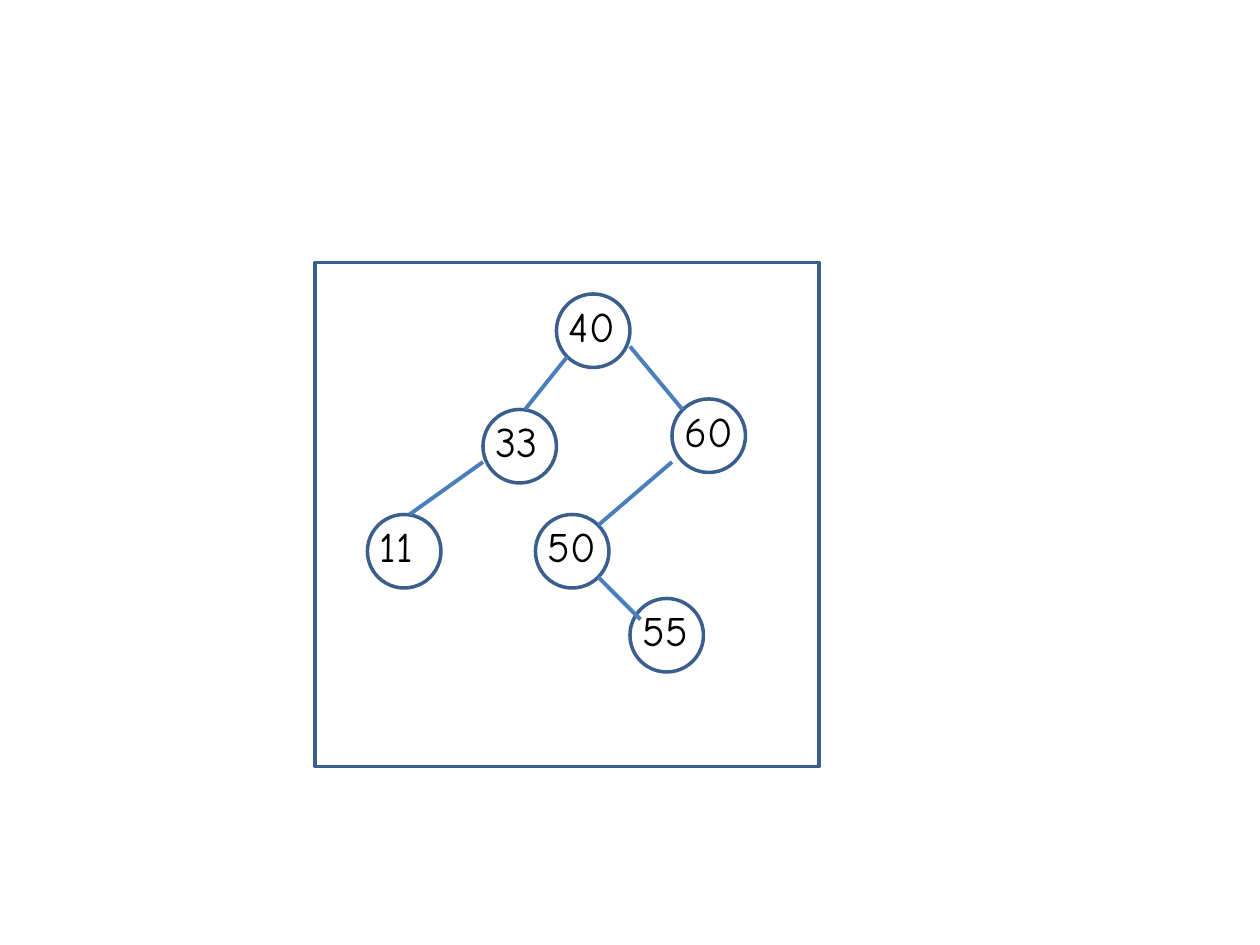
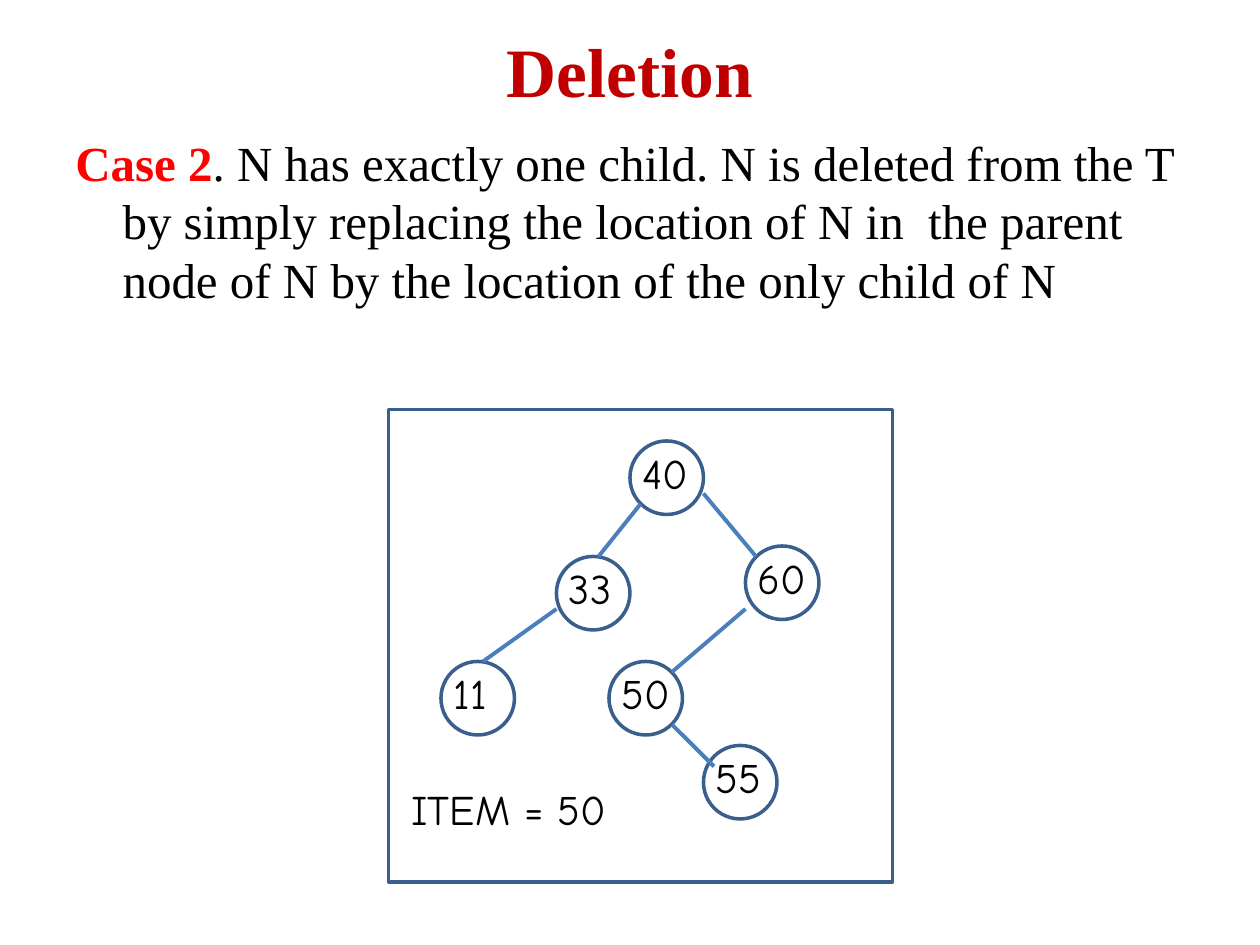
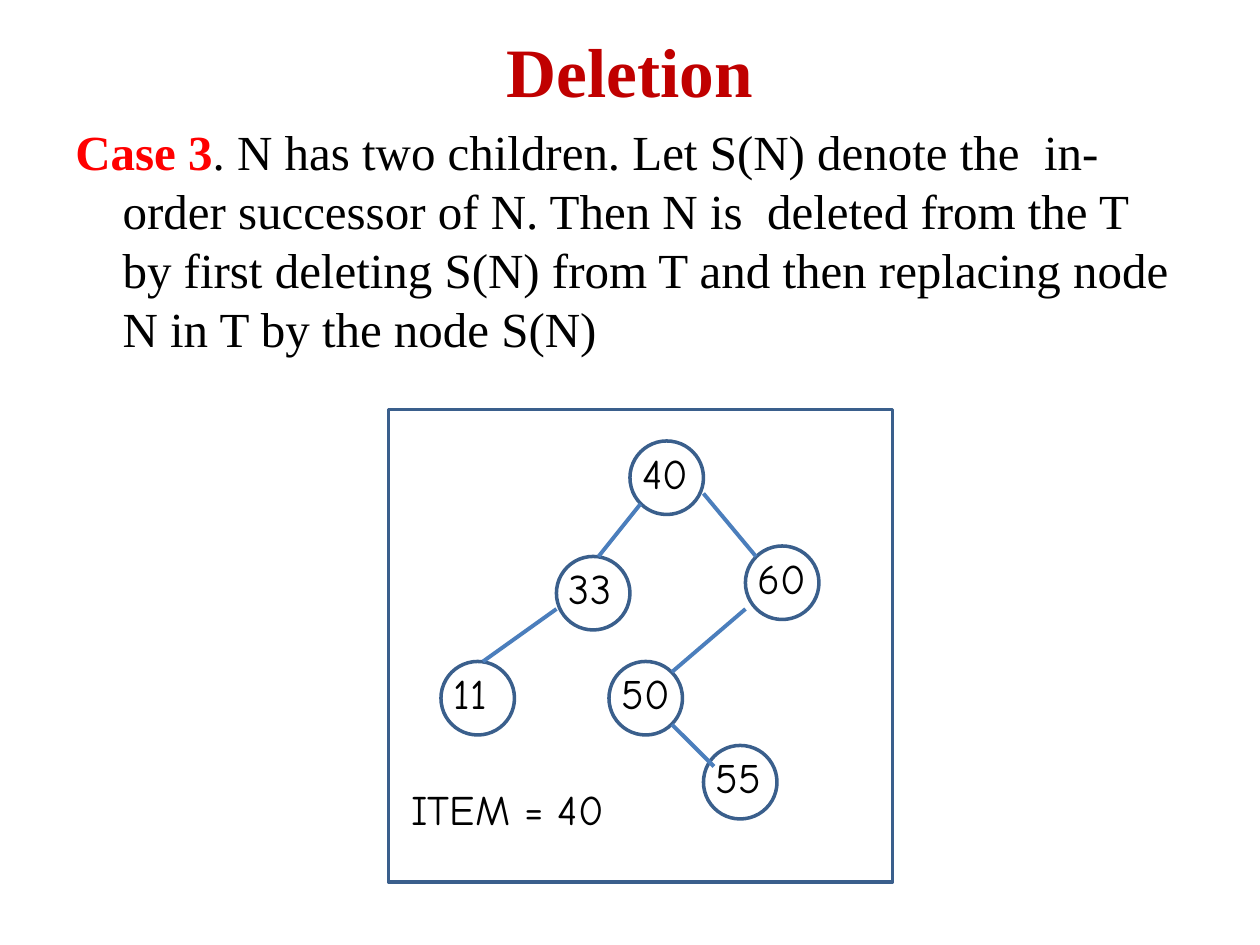
from dataclasses import dataclass
from typing import NamedTuple

from lxml import etree
from pptx import Presentation
from pptx.dml.color import RGBColor
from pptx.enum.shapes import MSO_CONNECTOR, MSO_SHAPE
from pptx.enum.text import MSO_ANCHOR, MSO_AUTO_SIZE, PP_ALIGN
from pptx.oxml.ns import qn
from pptx.shapes.shapetree import GroupShapes, SlideShapes
from pptx.slide import Slide
from pptx.text.text import TextFrame, _Paragraph
from pptx.util import Pt

PX = 9525  # EMU in one px
BLANK = 6
OVAL, RECT = MSO_SHAPE.OVAL, MSO_SHAPE.RECTANGLE
LINE = MSO_CONNECTOR.STRAIGHT
CENTER, LEFT = PP_ALIGN.CENTER, PP_ALIGN.LEFT
TOP, MIDDLE = MSO_ANCHOR.TOP, MSO_ANCHOR.MIDDLE
GROW, FIXED = MSO_AUTO_SIZE.SHAPE_TO_FIT_TEXT, MSO_AUTO_SIZE.NONE


@dataclass(frozen=True)
class Style:
    font: str
    size: float
    color: str
    bold: bool = False


@dataclass(frozen=True)
class Theme:
    title: Style = Style("Times New Roman", 39.6, "C00000", True)
    case: Style = Style("Times New Roman", 28, "FF0000", True)
    body: Style = Style("Times New Roman", 28, "000000")
    label: Style = Style("Comic Neue", 24, "000000")
    border: str = "3A5F8C"
    edge: str = "4B7EBC"
    border_pt: float = 2
    edge_pt: float = 2.25
    gap_pt: float = 5.6  # a fifth of the body size


class Box(NamedTuple):
    x: int
    y: int
    w: int
    h: int


class Node(NamedTuple):
    key: str
    x: int
    y: int


class Edge(NamedTuple):
    x1: int
    y1: int
    x2: int
    y2: int


class Page(NamedTuple):
    frame: Box
    case: str = ""
    rule: str = ""
    top: int = 0
    item: str = ""


THEME = Theme()
TITLE = Box(48, 16, 864, 75)
INDENT = 36
DISC = 56

# Tree parts, measured from the corner of the frame
NODES = [
    Node("40", 184, 24), Node("60", 272, 104), Node("50", 168, 192),
    Node("33", 128, 112), Node("55", 240, 256), Node("11", 40, 192),
]
EDGES = [
    Edge(192, 72, 160, 112), Edge(128, 152, 72, 192), Edge(240, 64, 280, 112),
    Edge(272, 152, 216, 200), Edge(216, 240, 248, 272),
]

LOW = Box(296, 312, 384, 360)
PAGES = [
    Page(Box(240, 200, 384, 384)),
    Page(LOW, "Case 2",
         ". N has exactly one child. N is deleted from the T by simply "
         "replacing the location of N in  the parent node of N by the "
         "location of the only child of N", 96, "ITEM = 50"),
    Page(LOW, "Case 3",
         ". N has two children. Let S(N) denote the  in-order successor of N. "
         "Then N is  deleted from the T by first deleting S(N) from T and then "
         "replacing node N in T by the node S(N)", 88, "ITEM = 40"),
]


# Text
def add_run(para: _Paragraph, text: str, style: Style) -> None:
    run = para.add_run()
    run.text = text
    run.font.name = style.font
    run.font.size = Pt(style.size)
    run.font.bold = style.bold
    run.font.color.rgb = RGBColor.from_string(style.color)


def add_text(shapes: SlideShapes | GroupShapes, box: Box,
             runs: list[tuple[str, Style]], align: PP_ALIGN = LEFT,
             anchor: MSO_ANCHOR = TOP, fit: MSO_AUTO_SIZE = FIXED) -> TextFrame:
    frame = shapes.add_textbox(*(n * PX for n in box)).text_frame
    frame.word_wrap = True
    frame.auto_size = fit
    frame.vertical_anchor = anchor
    para = frame.paragraphs[0]
    para.alignment = align
    for text, style in runs:
        add_run(para, text, style)
    return frame


# Shapes
def add_shape(shapes: GroupShapes, kind: MSO_SHAPE, box: Box) -> None:
    shape = shapes.add_shape(kind, *(n * PX for n in box))
    shape.shadow.inherit = False
    shape.fill.background()
    shape.line.color.rgb = RGBColor.from_string(THEME.border)
    shape.line.width = Pt(THEME.border_pt)


def add_edge(shapes: GroupShapes, edge: Edge) -> None:
    line = shapes.add_connector(LINE, *(n * PX for n in edge))
    line.line.color.rgb = RGBColor.from_string(THEME.edge)
    line.line.width = Pt(THEME.edge_pt)
    etree.SubElement(line._element.spPr, qn("a:effectLst"))


def add_tree(slide: Slide, frame: Box, item: str) -> None:
    shapes = slide.shapes.add_group_shape().shapes
    left, top = frame.x, frame.y
    add_shape(shapes, RECT, frame)
    for node in NODES:
        x, y = left + node.x, top + node.y
        add_shape(shapes, OVAL, Box(x, y, DISC, DISC))
        add_text(shapes, Box(x, y, 64, 48), [(node.key, THEME.label)], fit=GROW)
    for edge in EDGES:
        add_edge(shapes, Edge(left + edge.x1, top + edge.y1,
                              left + edge.x2, top + edge.y2))
    if item:
        add_text(shapes, Box(left + 8, top + 280, 216, 48),
                 [(item, THEME.label)], fit=GROW)


# Title and rule
def add_case(slide: Slide, page: Page) -> None:
    add_text(slide.shapes, TITLE, [("Deletion", THEME.title)], CENTER, MIDDLE)
    frame = add_text(slide.shapes, Box(48, page.top, 864, 576),
                     [(page.case, THEME.case), (page.rule, THEME.body)])
    para = frame.paragraphs[0]
    para.space_before = Pt(THEME.gap_pt)
    props = para._p.get_or_add_pPr()
    props.set("marL", str(INDENT * PX))
    props.set("indent", str(-INDENT * PX))


def main() -> None:
    deck = Presentation()
    deck.slide_width, deck.slide_height = 960 * PX, 720 * PX
    for page in PAGES:
        slide = deck.slides.add_slide(deck.slide_layouts[BLANK])
        if page.case:
            add_case(slide, page)
        add_tree(slide, page.frame, page.item)
    deck.save("out.pptx")


if __name__ == "__main__":
    main()
